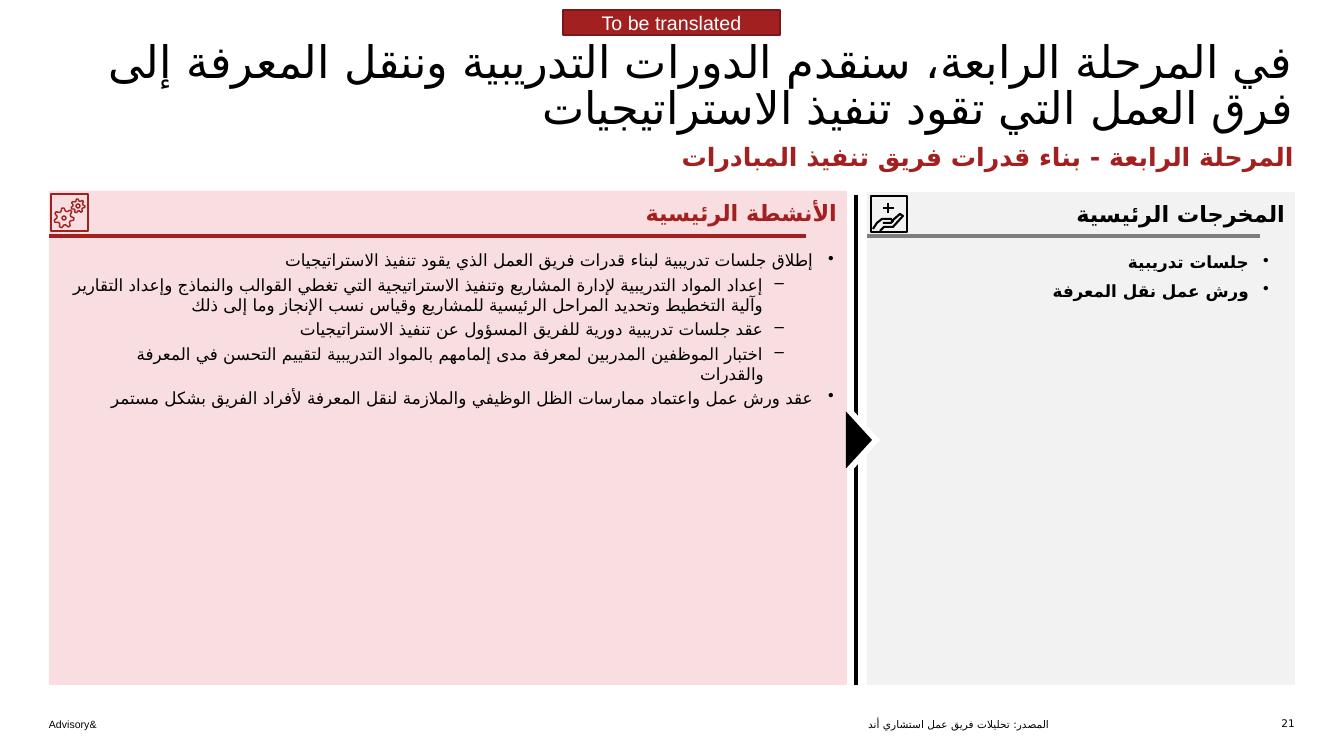
"""Build the phase four training and knowledge transfer slide."""
from math import cos, pi, sin

from lxml.etree import SubElement
from pptx import Presentation
from pptx.dml.color import RGBColor
from pptx.enum.shapes import MSO_CONNECTOR, MSO_SHAPE
from pptx.enum.text import MSO_ANCHOR, PP_ALIGN
from pptx.oxml.ns import qn
from pptx.util import Emu, Pt

TITLE = "في المرحلة الرابعة، سنقدم الدورات التدريبية وننقل المعرفة إلى فرق العمل التي تقود تنفيذ الاستراتيجيات"
SUBTITLE = "المرحلة الرابعة - بناء قدرات فريق تنفيذ المبادرات"
BADGE = "To be translated"
ACTIVITIES_HEADING = "الأنشطة الرئيسية"
ACTIVITIES = [
    (0, "إطلاق جلسات تدريبية لبناء قدرات فريق العمل الذي يقود تنفيذ الاستراتيجيات"),
    (1, "إعداد المواد التدريبية لإدارة المشاريع وتنفيذ الاستراتيجية التي تغطي القوالب والنماذج وإعداد التقارير "
        "وآلية التخطيط وتحديد المراحل الرئيسية للمشاريع وقياس نسب الإنجاز وما إلى ذلك"),
    (1, "عقد جلسات تدريبية دورية للفريق المسؤول عن تنفيذ الاستراتيجيات"),
    (1, "اختبار الموظفين المدربين لمعرفة مدى إلمامهم بالمواد التدريبية لتقييم التحسن في المعرفة والقدرات"),
    (0, "عقد ورش عمل واعتماد ممارسات الظل الوظيفي والملازمة لنقل المعرفة لأفراد الفريق بشكل مستمر"),
]
OUTPUTS_HEADING = "المخرجات الرئيسية"
OUTPUTS = [(0, "جلسات تدريبية"), (0, "ورش عمل نقل المعرفة")]
SOURCE = "المصدر: تحليلات فريق عمل استشاري أند"
FIRM = "Advisory&"
PAGE_NUMBER = "21"

THEME = {
    "red": "A32020", "dark_red": "791818", "pink": "F8DDE1", "light": "F2F2F2",
    "gray": "7D7D7D", "black": "000000", "white": "FFFFFF",
    "body_font": "Arial", "title_font": "Cambria", "arabic_font": "DejaVu Sans",
    "title": 32, "subtitle": 18, "heading": 16, "badge": 14, "body": 12, "footer": 7.5,
    "rule": 2.25, "icon": 1.5, "gear": 1,
}
PX = 914400 / 100.8
BULLETS = "•–"
HAND_STROKES = [
    [(873, 229), (877, 223), (882, 219), (891, 219), (893, 221), (891, 223), (883, 223)],
    [(892, 221), (900, 214), (903, 216), (893, 227), (884, 227), (880, 231)],
    [(883, 208), (894, 208)],
    [(888, 203), (888, 213)],
]

deck = Presentation()
deck.slide_width, deck.slide_height = Emu(round(1344 * PX)), Emu(round(756 * PX))
page = deck.slides.add_slide(deck.slide_layouts[6])


def emu(*lengths):
    return [Emu(round(length * PX)) for length in lengths]


def color(name):
    return RGBColor.from_string(THEME[name])


def paint(shape, fill=None, line=None, weight=1.5):
    shape.shadow.inherit = False
    if fill:
        shape.fill.solid()
        shape.fill.fore_color.rgb = color(fill)
    else:
        shape.fill.background()
    if line:
        shape.line.color.rgb = color(line)
        shape.line.width = Pt(weight)
    else:
        shape.line.fill.background()
    return shape


def draw(kind, place, **look):
    return paint(page.shapes.add_shape(kind, *emu(*place)), **look)


def textbox(*place):
    return page.shapes.add_textbox(*emu(*place))


def write(box, text, size="body", ink="black", font="body_font", bold=False, align=PP_ALIGN.RIGHT,
          rtl=True, anchor=MSO_ANCHOR.TOP, insets=(0, 0, 0, 0), indents=None, hang=0,
          bulleted=False, spacing=None, before=0, after=0):
    """Fill a box with one string or a list of (level, string) pairs."""
    frame = box.text_frame
    frame.word_wrap = True
    frame.vertical_anchor = anchor
    frame.margin_left, frame.margin_top, frame.margin_right, frame.margin_bottom = emu(*insets)
    lines = [(0, text)] if isinstance(text, str) else text
    for index, (level, words) in enumerate(lines):
        para = frame.add_paragraph() if index else frame.paragraphs[0]
        para.alignment = align
        para.level = level
        settings = para._p.get_or_add_pPr()
        settings.set("rtl", str(int(rtl)))
        if indents:
            margin, first = emu(indents[level], -hang)
            settings.set("marL", str(margin))
            settings.set("indent", str(first))
        if bulleted:
            SubElement(settings, qn("a:buChar")).set("char", BULLETS[level])
        if spacing:
            para.line_spacing = spacing
        para.space_before = Pt(before if index else 0)
        para.space_after = Pt(after)
        span = para.add_run()
        span.text = words
        span.font.size = Pt(THEME[size])
        span.font.bold = bold
        span.font.color.rgb = color(ink)
        span.font.name = THEME[font]
        traits = span._r.get_or_add_rPr()
        traits.set("lang", "en-US" if words.isascii() else "ar-SA")
        SubElement(traits, qn("a:cs")).set("typeface", THEME["arabic_font"])


def rule(start, end, ink):
    line = page.shapes.add_connector(MSO_CONNECTOR.STRAIGHT, *emu(*start, *end))
    line.line.color.rgb = color(ink)
    line.line.width = Pt(THEME["rule"])
    SubElement(line._element.spPr, qn("a:effectLst"))


def stroke(points, ink, weight="icon", close=False):
    corners = [emu(*point) for point in points]
    builder = page.shapes.build_freeform(*corners[0])
    builder.add_line_segments(corners[1:], close=close)
    paint(builder.convert_to_shape(), line=ink, weight=THEME[weight])


def gear(x, y, outer, inner, hub, teeth=7):
    steps = range(teeth * 4)
    radii = [outer, outer, inner, inner]
    stroke([(x + radii[step % 4] * cos(step * pi / teeth / 2),
             y + radii[step % 4] * sin(step * pi / teeth / 2)) for step in steps], "red", "gear", close=True)
    draw(MSO_SHAPE.OVAL, (x - hub, y - hub, 2 * hub, 2 * hub), line="red", weight=THEME["gear"])


def panel(place, fill, heading, ink):
    write(draw(MSO_SHAPE.RECTANGLE, place, fill=fill), heading, size="heading", ink=ink, bold=True,
          insets=(51, 8, 10, 5), after=2)


def arrow(x, ink):
    height, width = 57, 26
    place = (x - (height - width) / 2, 427, height, width)
    draw(MSO_SHAPE.ISOSCELES_TRIANGLE, place, fill=ink).rotation = 90


write(textbox(49, 719, 100, 12), FIRM, size="footer", align=PP_ALIGN.LEFT, rtl=False, anchor=MSO_ANCHOR.BOTTOM)
write(textbox(48, 42, 1246, 93), TITLE, size="title", font="title_font", spacing=0.85)
write(textbox(48, 141, 1246, 35), SUBTITLE, size="subtitle", ink="red", bold=True)
write(textbox(268, 701, 806, 30), SOURCE, size="footer", anchor=MSO_ANCHOR.BOTTOM, indents=[50], hang=25)
write(textbox(1101, 716, 194, 15), PAGE_NUMBER, size="footer", anchor=MSO_ANCHOR.MIDDLE)

panel((49, 191, 798, 494), "pink", ACTIVITIES_HEADING, "red")
panel((867, 192, 428, 493), "light", OUTPUTS_HEADING, "black")
rule((867, 236), (1260, 236), "gray")
write(textbox(58, 245, 786, 231), ACTIVITIES, insets=(10, 5, 10, 5), indents=[20, 70], hang=20,
      bulleted=True, before=3)
write(textbox(908, 252, 361, 432), OUTPUTS, bold=True, insets=(8, 0, 0, 0), indents=[20], hang=20,
      bulleted=True, after=6)

draw(MSO_SHAPE.RECTANGLE, (51, 194, 37, 37), line="red", weight=THEME["icon"])
gear(64, 218, 10, 7, 2)
gear(78, 206, 7, 5, 2)
rule((49, 236), (806, 236), "red")
draw(MSO_SHAPE.RECTANGLE, (871, 196, 36, 36), line="black", weight=THEME["icon"])
for points in HAND_STROKES:
    stroke(points, "black")

rule((856, 195), (856, 685), "black")
arrow(854, "white")
arrow(846, "black")
write(draw(MSO_SHAPE.RECTANGLE, (563, 10, 217, 25), fill="red", line="dark_red", weight=2), BADGE,
      size="badge", ink="white", align=PP_ALIGN.CENTER, anchor=MSO_ANCHOR.MIDDLE)

deck.save("out.pptx")
